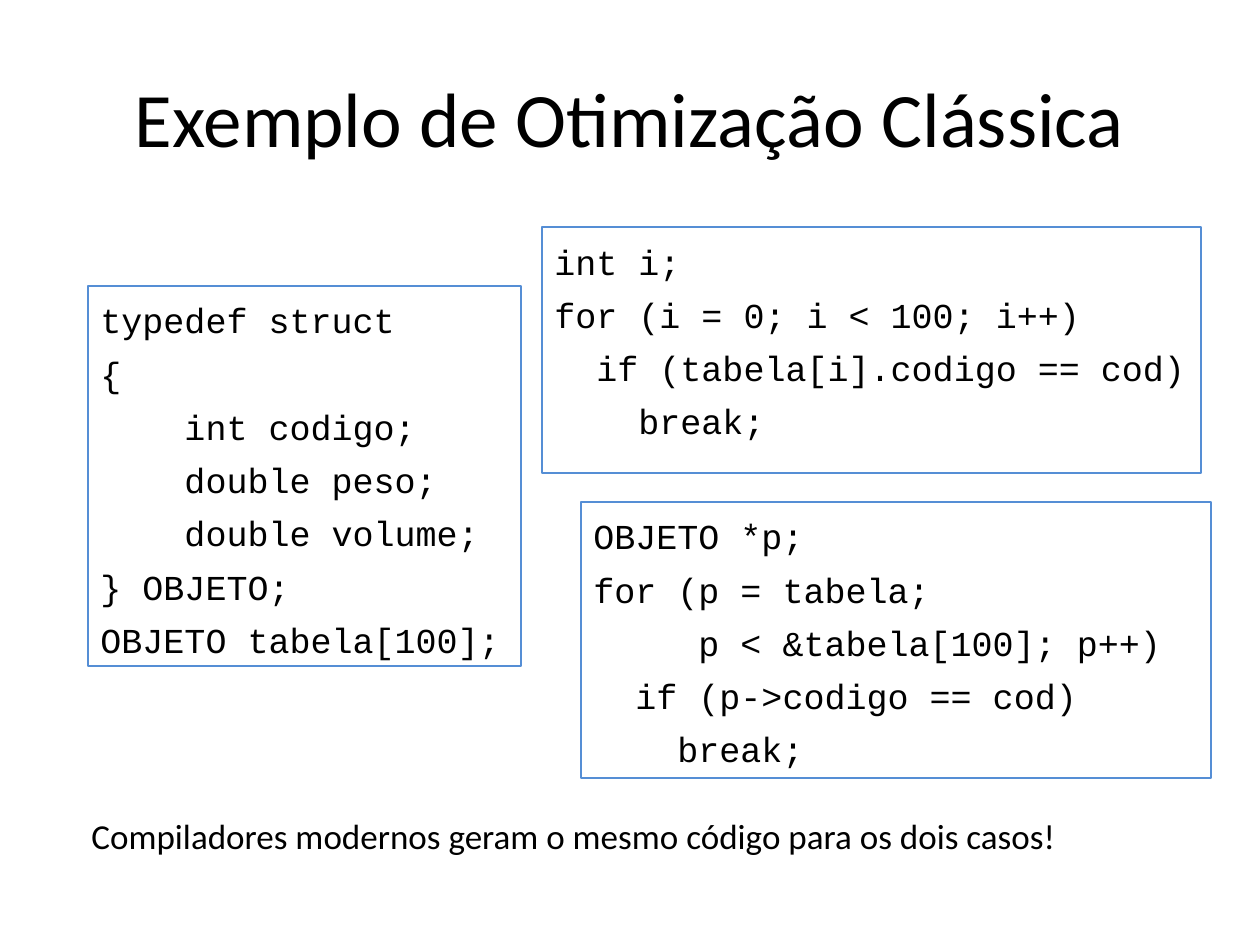
"""Builds a slide comparing two equivalent loops over a table of structs."""
from pptx import Presentation
from pptx.dml.color import RGBColor
from pptx.enum.shapes import MSO_SHAPE
from pptx.enum.text import MSO_ANCHOR, PP_ALIGN
from pptx.util import Pt

PX = 914400 // 126
COLORS = {"text": "000000", "border": "558ED5"}

presentation = Presentation()
presentation.slide_width = 1260 * PX
presentation.slide_height = 945 * PX
slide = presentation.slides.add_slide(presentation.slide_layouts[6])


def write_lines(frame, lines, font_name, size):
    frame.word_wrap = True
    for index, line in enumerate(lines):
        paragraph = frame.paragraphs[0] if index == 0 else frame.add_paragraph()
        paragraph.text = line
        paragraph.alignment = PP_ALIGN.LEFT
        paragraph.space_before = Pt(6.4 if index else 0)
        paragraph.font.name = font_name
        paragraph.font.size = Pt(size)
        paragraph.font.color.rgb = RGBColor.from_string(COLORS["text"])


title = slide.shapes.add_textbox(63 * PX, 38 * PX, 1134 * PX, 157 * PX)
write_lines(title.text_frame, ["Exemplo de Otimização Clássica"], "Calibri", 44)
title.text_frame.vertical_anchor = MSO_ANCHOR.MIDDLE
title.text_frame.paragraphs[0].alignment = PP_ALIGN.CENTER

struct_code = [
    "typedef struct",
    "{",
    "    int codigo;",
    "    double peso;",
    "    double volume;",
    "} OBJETO;",
    "OBJETO tabela[100];",
]
index_loop = [
    "int i;",
    "for (i = 0; i < 100; i++)",
    "  if (tabela[i].codigo == cod)",
    "    break;",
]
pointer_loop = [
    "OBJETO *p;",
    "for (p = tabela;",
    "     p < &tabela[100]; p++)",
    "  if (p->codigo == cod)",
    "    break;",
]
for left, top, width, height, code in [
    (88, 286, 433, 380, struct_code),
    (542, 227, 659, 246, index_loop),
    (581, 502, 630, 276, pointer_loop),
]:
    listing = slide.shapes.add_shape(
        MSO_SHAPE.RECTANGLE, left * PX, top * PX, width * PX, height * PX
    )
    listing.shadow.inherit = False
    listing.fill.background()
    listing.line.color.rgb = RGBColor.from_string(COLORS["border"])
    listing.line.width = Pt(0.75)
    listing.text_frame.vertical_anchor = MSO_ANCHOR.TOP
    listing.text_frame.margin_top = 13 * PX
    write_lines(listing.text_frame, code, "Courier New", 20)

conclusion = slide.shapes.add_textbox(79 * PX, 808 * PX, 1113 * PX, 59 * PX)
write_lines(
    conclusion.text_frame,
    ["Compiladores modernos geram o mesmo código para os dois casos!"],
    "Calibri",
    20,
)

presentation.save("out.pptx")
